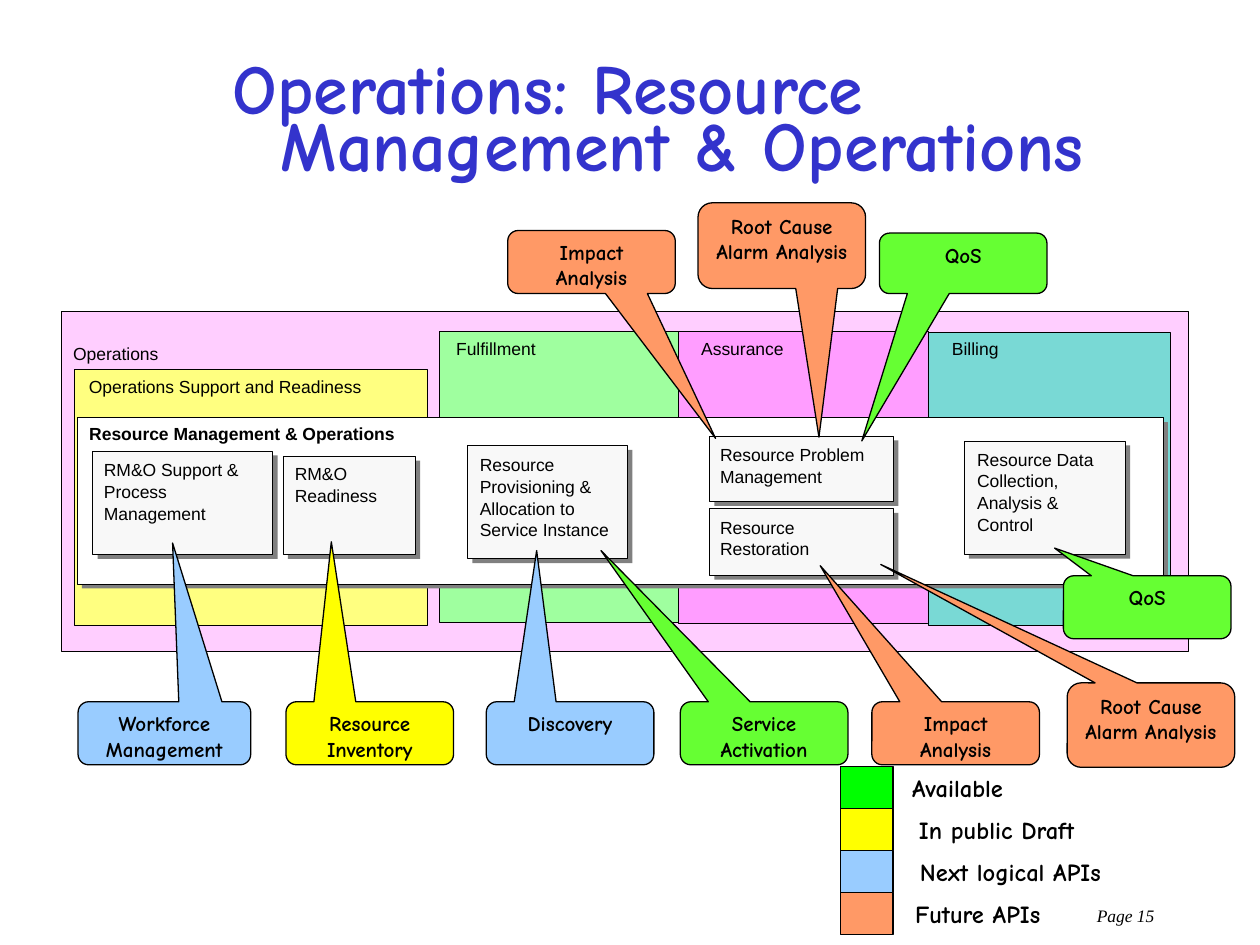
from pptx import Presentation
from pptx.util import Inches, Pt
from pptx.dml.color import RGBColor
from pptx.enum.shapes import MSO_SHAPE
from pptx.enum.text import MSO_ANCHOR, PP_ALIGN
from dataclasses import dataclass


@dataclass(frozen=True)
class Theme:
    black: str = "000000"
    title: str = "3333CC"
    shade: str = "808080"
    card: str = "F8F8F8"
    white: str = "FFFFFF"
    done: str = "66FF33"
    key: str = "00FF00"
    draft: str = "FFFF00"
    soon: str = "99CCFF"
    later: str = "FF9966"
    sans: str = "Arial"
    comic: str = "Comic Neue"
    serif: str = "Times New Roman"
    small: int = 10
    note: int = 12
    legend: int = 14
    head: int = 40
    thin: float = 0.37
    edge: float = 0.75
    frame: float = 1


T = Theme()

# The slide is a grid of 100 columns by 75 rows; every place is in cells
COLS, ROWS = 100, 75
WIDE, HIGH = Inches(10), Inches(7.5)

# Content: text, box, text offset inside the box, fill
ZONES = [
    ("Operations", (4.9, 24.7, 89.4, 27), (0.9, 2.45), "FFCEFF"),
    ("Fulfillment", (34.85, 26.3, 19.2, 23.1), (1.35, 0.5), "9FFF9F"),
    ("Assurance", (53.85, 26.3, 19.8, 23.2), (1.8, 0.5), "FF9DFF"),
    ("Billing", (73.65, 26.4, 19.2, 23.2), (1.9, 0.4), "79D9D5"),
    ("Operations Support and Readiness", (5.9, 29.35, 28, 20.3), (1.15, 0.45), "FFFF80"),
]
BAND = ("Resource Management & Operations", (6.1, 33.15, 86.2, 13.2), (1, 0.4), T.white)
CARDS = [
    ("Resource\nProvisioning &\nAllocation to\nService Instance", (37.1, 35.35, 12.7, 9), (1, 0.65)),
    ("Resource Problem\nManagement", (56.3, 34.6, 14.6, 5.2), (0.85, 0.6)),
    ("Resource Data\nCollection,\nAnalysis &\nControl", (76.5, 35, 12.8, 9), (1.05, 0.55)),
    ("Resource\nRestoration", (56.3, 40.35, 14.6, 5.3), (0.85, 0.6)),
    ("RM&O Support &\nProcess\nManagement", (7.35, 35.8, 14.3, 8.2), (0.9, 0.6)),
    ("RM&O\nReadiness", (22.45, 36.2, 10.5, 7.8), (0.95, 0.5)),
]

# Content: text, box, tip of the pointer, fill
CALLS = [
    ("Service\nActivation", (54, 55.7, 13.3, 5), (47.7, 43.7), T.done),
    ("Workforce Management", (6.2, 55.7, 13.7, 5), (13.7, 43.1), T.soon),
    ("Resource Inventory", (22.7, 55.7, 13.3, 5), (26.3, 43), T.draft),
    ("Discovery", (38.6, 55.7, 13.3, 5), (42.6, 43.7), T.soon),
    ("Impact\nAnalysis", (69.2, 55.7, 13.3, 5), (65.1, 44.9), T.later),
    ("Impact\nAnalysis", (40.3, 18.3, 13.3, 5), (56.8, 34.8), T.later),
    ("Root Cause Alarm Analysis", (84.7, 54.2, 13.3, 6.7), (69.9, 44.8), T.later),
    ("Root Cause Alarm Analysis", (55.4, 16.1, 13.3, 6.8), (65, 34.7), T.later),
    ("QoS", (69.8, 18.5, 13.3, 4.8), (68.4, 35), T.done),
    ("QoS", (84.4, 45.7, 13.3, 5), (83.7, 43.5), T.done),
]

# Content: text, left and width of the label, fill of the swatch
KEYS = [
    ("Available", 70.9, 10.2, T.key),
    ("In public Draft", 71.4, 15.4, T.draft),
    ("Next logical APIs", 71.2, 18, T.soon),
    ("Future APIs", 71.1, 13, T.later),
]

deck = Presentation()
deck.slide_width, deck.slide_height = WIDE, HIGH
slide = deck.slides.add_slide(deck.slide_layouts[6])


def across(cells):
    return round(cells * WIDE / COLS)


def down(cells):
    return round(cells * HIGH / ROWS)


def place(box):
    x, y, w, h = box
    return across(x), down(y), across(w), down(h)


def draw(kind, box, fill, line=None):
    shape = slide.shapes.add_shape(kind, *place(box))
    shape.shadow.inherit = False
    shape.fill.solid()
    shape.fill.fore_color.rgb = RGBColor.from_string(fill)
    if line:
        shape.line.color.rgb = RGBColor.from_string(T.black)
        shape.line.width = Pt(line)
    else:
        shape.line.fill.background()
    return shape


def write(shape, text, face, size, align=PP_ALIGN.LEFT, color=T.black,
          bold=False, italic=False, anchor=MSO_ANCHOR.TOP):
    frame = shape.text_frame
    frame.text = text
    frame.word_wrap = True
    frame.vertical_anchor = anchor
    for para in frame.paragraphs:
        para.alignment = align
        for run in para.runs:
            font = run.font
            font.name, font.size = face, Pt(size)
            font.bold, font.italic = bold, italic
            font.color.rgb = RGBColor.from_string(color)
    return frame


def panel(text, box, inset, fill, bold=False, shade=False):
    if shade:
        x, y, w, h = box
        draw(MSO_SHAPE.RECTANGLE, (x + 0.4, y + 0.35, w, h), T.shade)
    shape = draw(MSO_SHAPE.RECTANGLE, box, fill, T.thin)
    frame = write(shape, text, T.sans, T.small, bold=bold)
    frame.margin_left, frame.margin_top = across(inset[0]), down(inset[1])
    frame.margin_right = frame.margin_bottom = 0
    for para in frame.paragraphs:
        para.line_spacing = Pt(12.4)


def label(box, *args, **style):
    return write(slide.shapes.add_textbox(*place(box)), *args, **style)


# Page number
label((16.7, 71.3, 75.9, 2.7), "Page 15", T.serif, T.small, PP_ALIGN.RIGHT, italic=True)

# Zones, the band across them, and its cards
for zone in ZONES:
    panel(*zone)
panel(*BAND, bold=True, shade=True)
for card in CARDS:
    panel(*card, T.card, shade=True)

# Callouts
for text, box, tip, fill in CALLS:
    x, y, w, h = box
    call = draw(MSO_SHAPE.ROUNDED_RECTANGULAR_CALLOUT, box, fill, T.edge)
    call.adjustments[0] = (tip[0] - x) / w - 0.5
    call.adjustments[1] = (tip[1] - y) / h - 0.5
    write(call, text, T.comic, T.note, PP_ALIGN.CENTER, bold=True)

# Title with a hanging indent
head = label((17.5, 5, 78.3, 10), "Operations: Resource Management & Operations",
             T.comic, T.head, color=T.title, bold=True, anchor=MSO_ANCHOR.MIDDLE)
para = head.paragraphs[0]
para.line_spacing, para.space_before = 0.68, Pt(10)
props = para._p.get_or_add_pPr()
props.set("marL", str(across(3.8)))
props.set("indent", str(-across(3.8)))

# Legend
STEP = 10 / 3
for row, (text, left, width, fill) in enumerate(KEYS):
    top = 60.83 + row * STEP
    draw(MSO_SHAPE.RECTANGLE, (66.7, top, 4.2, STEP), fill, T.frame)
    label((left, top, width, 3.4), text, T.comic, T.legend, PP_ALIGN.CENTER, bold=True)

deck.save("out.pptx")
